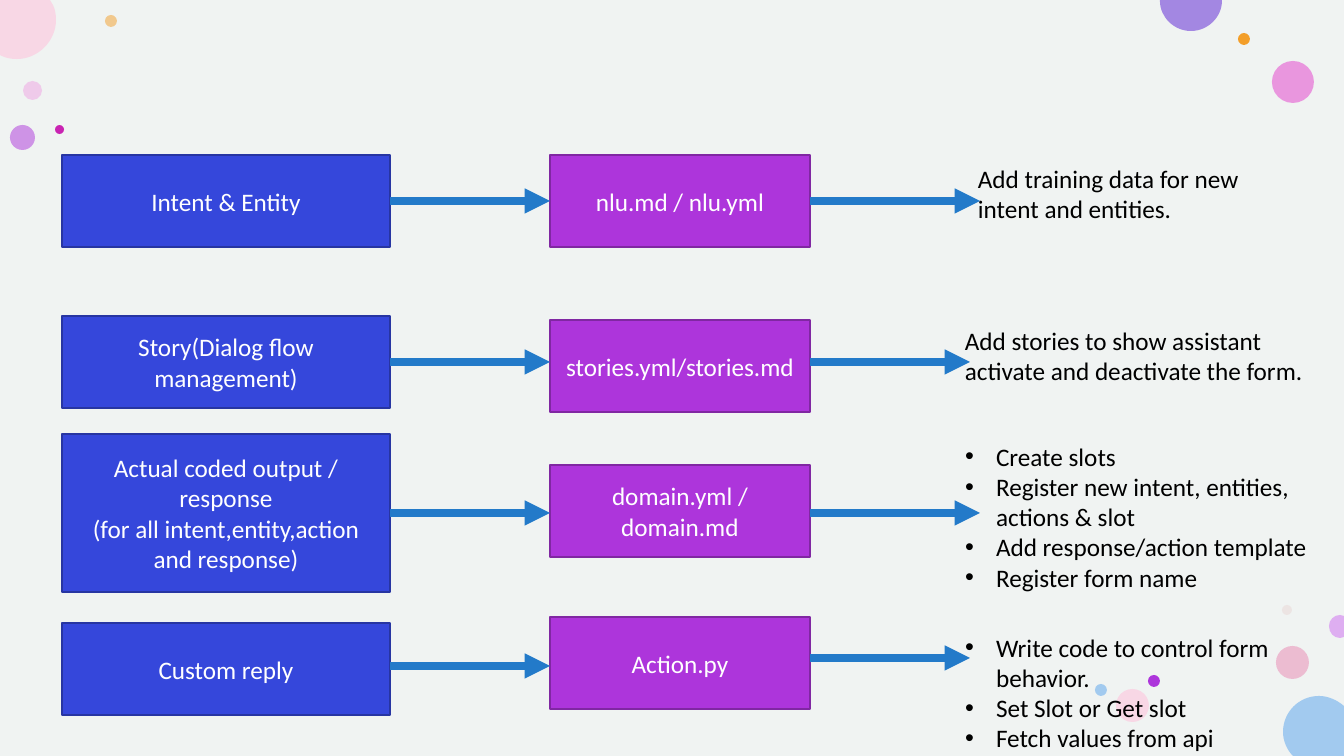
import lxml.etree
import pptx
import pptx.dml.color
import pptx.enum.shapes
import pptx.enum.text
import pptx.oxml.ns
import pptx.util

SLIDE_W, SLIDE_H = 1344, 756
PX = 914400 / 100.8

BACKGROUND = "F0F3F2"
TOPIC_FILL, TOPIC_LINE = "3547DB", "2735A2"
FILE_FILL, FILE_LINE = "AD35DB", "8027A2"
ARROW = "237AC9"

# left, top, diameter, colour, opacity in percent
BUBBLES = [
    (23, 81, 19, "EFA2E4", 50),
    (105, 15, 12, "F39E29", 50),
    (1276, 646, 33, "E986B2", 50),
    (10, 125, 25, "AD35DB", 50),
    (1272, 61, 42, "E773D7", 72),
    (1238, 33, 12, "F39E29", 100),
    (1282, 605, 10, "E3BEBE", 28),
    (1148, 675, 12, "AD35DB", 100),
    (1116, 689, 33, "F8D7E5", 100),
    (1095, 684, 12, "A2CAEF", 100),
    (55, 125, 9, "C923B2", 100),
]

# colour, start, segments: one point is a line, three points are a curve
EDGE_BUBBLES = [
    ("A2CAEF", (1319, 696), [
        [(1328, 696), (1337, 700), (1344, 706)], [(1344, 756)], [(1293, 756)],
        [(1287, 750), (1283, 741), (1283, 732)], [(1283, 712), (1299, 696), (1319, 696)]]),
    ("F8D7E5", (0, 0), [
        [(50, 0)], [(53, 5)], [(55, 9), (56, 14), (56, 20)],
        [(56, 41), (38, 59), (17, 59)], [(11, 59), (6, 58), (2, 56)], [(0, 55)]]),
    ("A387E2", (1160, 0), [
        [(1222, 0)], [(1222, 1)], [(1222, 17), (1208, 31), (1191, 31)],
        [(1174, 31), (1160, 17), (1160, 1)]]),
    ("DEAEF1", (1340, 615), [
        [(1344, 616)], [(1344, 637)], [(1340, 638)],
        [(1334, 638), (1329, 633), (1329, 626)], [(1329, 620), (1334, 615), (1340, 615)]]),
]

# topic and file: (top, height, paragraphs); arrows: y of each and end of the second;
# note: (left, top, width, height)
ROWS = [
    {"topic": (155, 92, ["Intent & Entity"]),
     "file": (155, 92, ["nlu.md / nlu.yml"]),
     "arrows": (201, 201, 980),
     "note": (968, 158, 340, 72),
     "lines": ["Add training data for new intent and entities."]},
    {"topic": (316, 92, ["Story(Dialog flow management)"]),
     "file": (320, 92, ["stories.yml/stories.md"]),
     "arrows": (362, 362, 970),
     "note": (955, 320, 367, 72),
     "lines": ["Add stories to show assistant activate and deactivate the form."]},
    {"topic": (434, 158, ["Actual coded output / response",
                          "(for all intent,entity,action and response)"]),
     "file": (465, 92, ["domain.yml / domain.md"]),
     "arrows": (513, 513, 980),
     "note": (955, 436, 416, 163),
     "lines": ["Create slots", "Register new intent, entities, actions & slot",
               "Add response/action template", "Register form name"]},
    {"topic": (623, 92, ["Custom reply"]),
     "file": (617, 92, ["Action.py"]),
     "arrows": (666, 658, 970),
     "note": (955, 627, 416, 132),
     "lines": ["Write code to control form behavior.", "Set Slot or Get slot",
               "Fetch values from api"]},
]
TOPIC_LEFT, TOPIC_W = 62, 328
FILE_LEFT, FILE_W = 550, 260
BULLET_INDENT = 31


def px(*lengths):
    return [pptx.util.Emu(round(length * PX)) for length in lengths]


def rgb(value):
    return pptx.dml.color.RGBColor.from_string(value)


def add_xml(parent, tag, **attributes):
    return lxml.etree.SubElement(parent, pptx.oxml.ns.qn(tag), **attributes)


def write(frame, lines, color="000000", align="LEFT", anchor="TOP", bullets=False):
    frame.word_wrap = True
    frame.auto_size = pptx.enum.text.MSO_AUTO_SIZE.NONE
    frame.vertical_anchor = getattr(pptx.enum.text.MSO_ANCHOR, anchor)
    for number, line in enumerate(lines):
        paragraph = frame.add_paragraph() if number else frame.paragraphs[0]
        paragraph.alignment = getattr(pptx.enum.text.PP_ALIGN, align)
        paragraph.space_before = pptx.util.Pt(0)
        if bullets:
            indent = px(BULLET_INDENT)[0]
            properties = paragraph._p.get_or_add_pPr()
            properties.set("marL", str(indent))
            properties.set("indent", str(-indent))
            add_xml(properties, "a:buFont", typeface="Arial")
            add_xml(properties, "a:buChar", char="•")
        run = paragraph.add_run()
        run.text = line
        run.font.name = "Calibri"
        run.font.size = pptx.util.Pt(18)
        run.font.color.rgb = rgb(color)


def add_preset(shapes, preset, place, fill, opacity=100, line=None):
    shape = shapes.add_shape(getattr(pptx.enum.shapes.MSO_SHAPE, preset), *px(*place))
    paint(shape, fill, opacity, line)
    return shape


def paint(shape, fill, opacity=100, line=None):
    shape.shadow.inherit = False
    shape.fill.solid()
    shape.fill.fore_color.rgb = rgb(fill)
    if opacity < 100:
        color = shape.fill._xPr.find(".//" + pptx.oxml.ns.qn("a:srgbClr"))
        add_xml(color, "a:alpha", val=str(opacity * 1000))
    if line:
        shape.line.color.rgb = rgb(line)
        shape.line.width = pptx.util.Pt(1)
    else:
        shape.line.fill.background()


def add_edge_bubble(shapes, color, start, segments):
    """Draw the outline through all points, then join each three of a curve into a Bézier."""
    outline = shapes.build_freeform(*px(*start))
    outline.add_line_segments([px(*point) for segment in segments for point in segment])
    bubble = outline.convert_to_shape()
    steps = iter(list(bubble._element.iter(pptx.oxml.ns.qn("a:lnTo"))))
    for segment in segments:
        parts = [next(steps) for point in segment]
        if len(parts) == 3:
            curve = lxml.etree.Element(pptx.oxml.ns.qn("a:cubicBezTo"))
            parts[0].addprevious(curve)
            for part in parts:
                curve.append(part[0])
                part.getparent().remove(part)
    paint(bubble, color)


def add_box(shapes, left, width, content, fill, line):
    top, height, lines = content
    box = add_preset(shapes, "RECTANGLE", (left, top, width, height), fill, line=line)
    write(box.text_frame, lines, color="FFFFFF", align="CENTER", anchor="MIDDLE")


def add_arrow(shapes, start, end, y):
    arrow = shapes.add_connector(pptx.enum.shapes.MSO_CONNECTOR.STRAIGHT, *px(start, y, end, y))
    arrow.line.color.rgb = rgb(ARROW)
    arrow.line.width = pptx.util.Pt(6)
    add_xml(arrow.line._get_or_add_ln(), "a:tailEnd", type="triangle")
    add_xml(arrow._element.spPr, "a:effectLst")


def add_note(shapes, place, lines, list_holders):
    """Put several lines in a body placeholder as a list, a single one in a text box."""
    bullets = len(lines) > 1
    if bullets:
        note = list_holders.pop(0)
        note.left, note.top, note.width, note.height = px(*place)
        tree = note._element.getparent()
        tree.append(note._element)  # in front of the bubbles
    else:
        note = shapes.add_textbox(*px(*place))
    write(note.text_frame, lines, bullets=bullets)


def main():
    deck = pptx.Presentation()
    deck.slide_width, deck.slide_height = px(SLIDE_W, SLIDE_H)
    slide = deck.slides.add_slide(deck.slide_layouts.get_by_name("Two Content"))
    shapes = slide.shapes
    title, *list_holders = slide.placeholders
    title._element.getparent().remove(title._element)

    add_preset(shapes, "RECTANGLE", (0, 0, SLIDE_W, SLIDE_H), BACKGROUND)
    for left, top, size, color, opacity in BUBBLES:
        add_preset(shapes, "OVAL", (left, top, size, size), color, opacity)
    for edge_bubble in EDGE_BUBBLES:
        add_edge_bubble(shapes, *edge_bubble)
    for row in ROWS:
        add_box(shapes, TOPIC_LEFT, TOPIC_W, row["topic"], TOPIC_FILL, TOPIC_LINE)
        add_box(shapes, FILE_LEFT, FILE_W, row["file"], FILE_FILL, FILE_LINE)
        topic_y, file_y, note_x = row["arrows"]
        add_arrow(shapes, TOPIC_LEFT + TOPIC_W, FILE_LEFT, topic_y)
        add_note(shapes, row["note"], row["lines"], list_holders)
        add_arrow(shapes, FILE_LEFT + FILE_W, note_x, file_y)
    deck.save("out.pptx")


if __name__ == "__main__":
    main()
